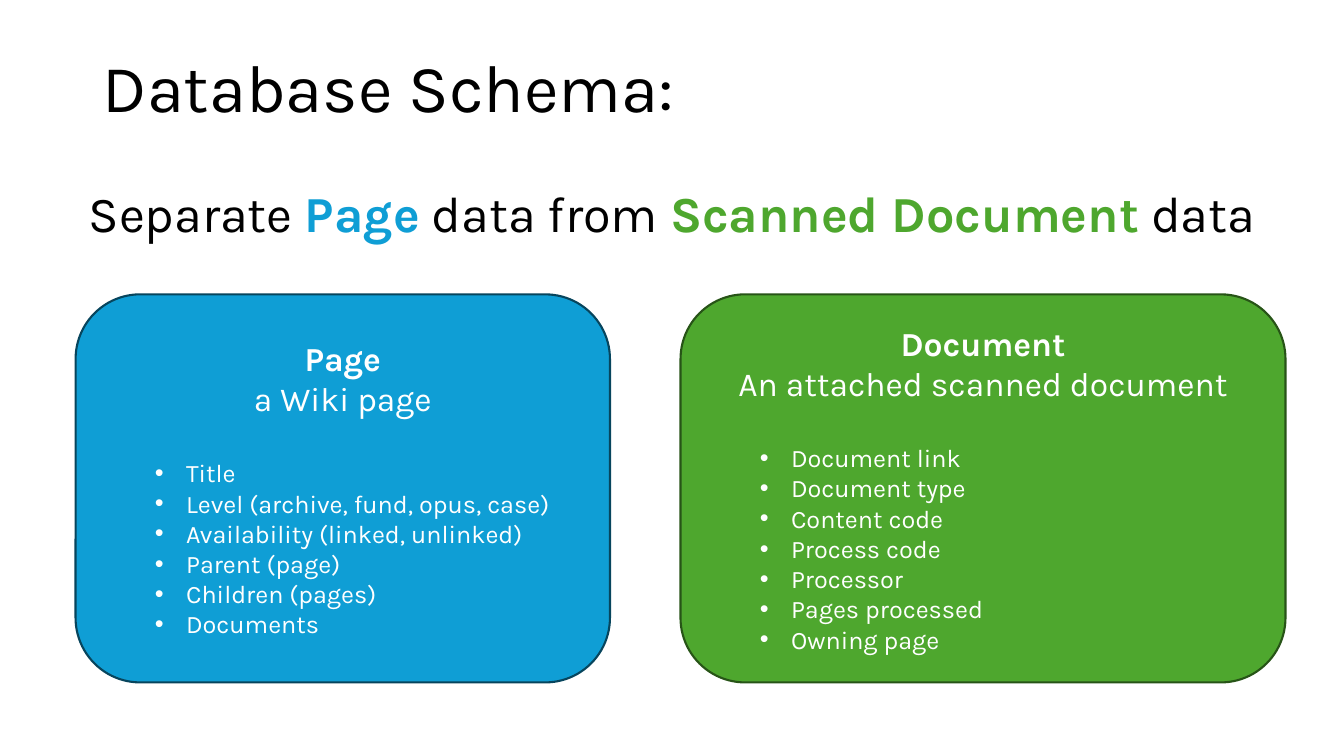
from dataclasses import dataclass

from lxml import etree
from pptx import Presentation
from pptx.dml.color import RGBColor
from pptx.enum.shapes import MSO_SHAPE
from pptx.enum.text import MSO_ANCHOR, PP_ALIGN
from pptx.oxml.ns import qn
from pptx.util import Pt

ROUND = MSO_SHAPE.ROUNDED_RECTANGLE
MIDDLE = MSO_ANCHOR.MIDDLE
LEFT, CENTER = PP_ALIGN.LEFT, PP_ALIGN.CENTER
SCALE = 9144


@dataclass(frozen=True)
class Theme:
    face: str = "Karla"
    black: str = "000000"
    white: str = "FFFFFF"
    blue: str = "0F9ED5"
    navy: str = "07455D"
    green: str = "4EA72E"
    forest: str = "275417"
    title: int = 48
    lead: int = 36
    head: int = 24
    item: int = 18
    gap: int = 28
    edge: float = 1.5


class Deck:
    """Draws styled elements on the current slide."""

    def __init__(self, theme, width, height):
        self.theme = theme
        self.show = Presentation()
        self.show.slide_width = width * SCALE
        self.show.slide_height = height * SCALE
        self.slide = self.show.slides.add_slide(self.show.slide_layouts[6])

    def style(self, font, size, color, bold=False):
        font.name = self.theme.face
        font.size = Pt(size)
        font.bold = bold
        font.color.rgb = RGBColor.from_string(color)

    def frame(self, box):
        shape = self.slide.shapes.add_textbox(*(n * SCALE for n in box))
        shape.text_frame.word_wrap = True
        return shape.text_frame

    def title(self, box, text):
        frame = self.frame(box)
        frame.vertical_anchor = MIDDLE
        para = frame.paragraphs[0]
        para.text = text
        para.line_spacing = 0.9
        self.style(para.font, self.theme.title, self.theme.black)

    def lead(self, box, parts):
        para = self.frame(box).paragraphs[0]
        para.alignment = CENTER
        for text, color, bold in parts:
            run = para.add_run()
            run.text = text
            self.style(run.font, self.theme.lead, color, bold)

    def bullet(self, para):
        para.level = 1
        props = para._p.get_or_add_pPr()
        props.set("marL", str(81 * SCALE))
        props.set("indent", str(-31 * SCALE))
        etree.SubElement(props, qn("a:buFont")).set("typeface", "Arial")
        etree.SubElement(props, qn("a:buChar")).set("char", "•")

    def card(self, box, fill, edge, name, note, items):
        theme = self.theme
        shape = self.slide.shapes.add_shape(ROUND, *(n * SCALE for n in box))
        shape.shadow.inherit = False
        shape.fill.solid()
        shape.fill.fore_color.rgb = RGBColor.from_string(fill)
        shape.line.color.rgb = RGBColor.from_string(edge)
        shape.line.width = Pt(theme.edge)
        frame = shape.text_frame
        frame.word_wrap = True
        frame.vertical_anchor = MIDDLE
        for row, text in enumerate([name, note, *items]):
            para = frame.add_paragraph() if row else frame.paragraphs[0]
            para.text = text
            listed = row > 1
            para.alignment = LEFT if listed else CENTER
            if row == 2:
                para.space_before = Pt(theme.gap)
            if listed:
                self.bullet(para)
            size = theme.item if listed else theme.head
            self.style(para.font, size, theme.white, row == 0)

    def save(self):
        self.show.save("out.pptx")


def main():
    theme = Theme()
    deck = Deck(theme, 1333, 750)
    deck.title((92, 40, 1150, 101), "Database Schema:")
    deck.card(
        (75, 292, 530, 385), theme.blue, theme.navy, "Page", "a Wiki page",
        ["Title", "Level (archive, fund, opus, case)",
         "Availability (linked, unlinked)", "Parent (page)",
         "Children (pages)", "Documents"])
    deck.card(
        (675, 292, 600, 385), theme.green, theme.forest,
        "Document", "An attached scanned document",
        ["Document link", "Document type", "Content code", "Process code",
         "Processor", "Pages processed", "Owning page"])
    deck.lead((0, 176, 1333, 71), [
        ("Separate ", theme.black, False),
        ("Page", theme.blue, True),
        (" data from ", theme.black, False),
        ("Scanned Document", theme.green, True),
        (" data", theme.black, False)])
    deck.save()


if __name__ == "__main__":
    main()
